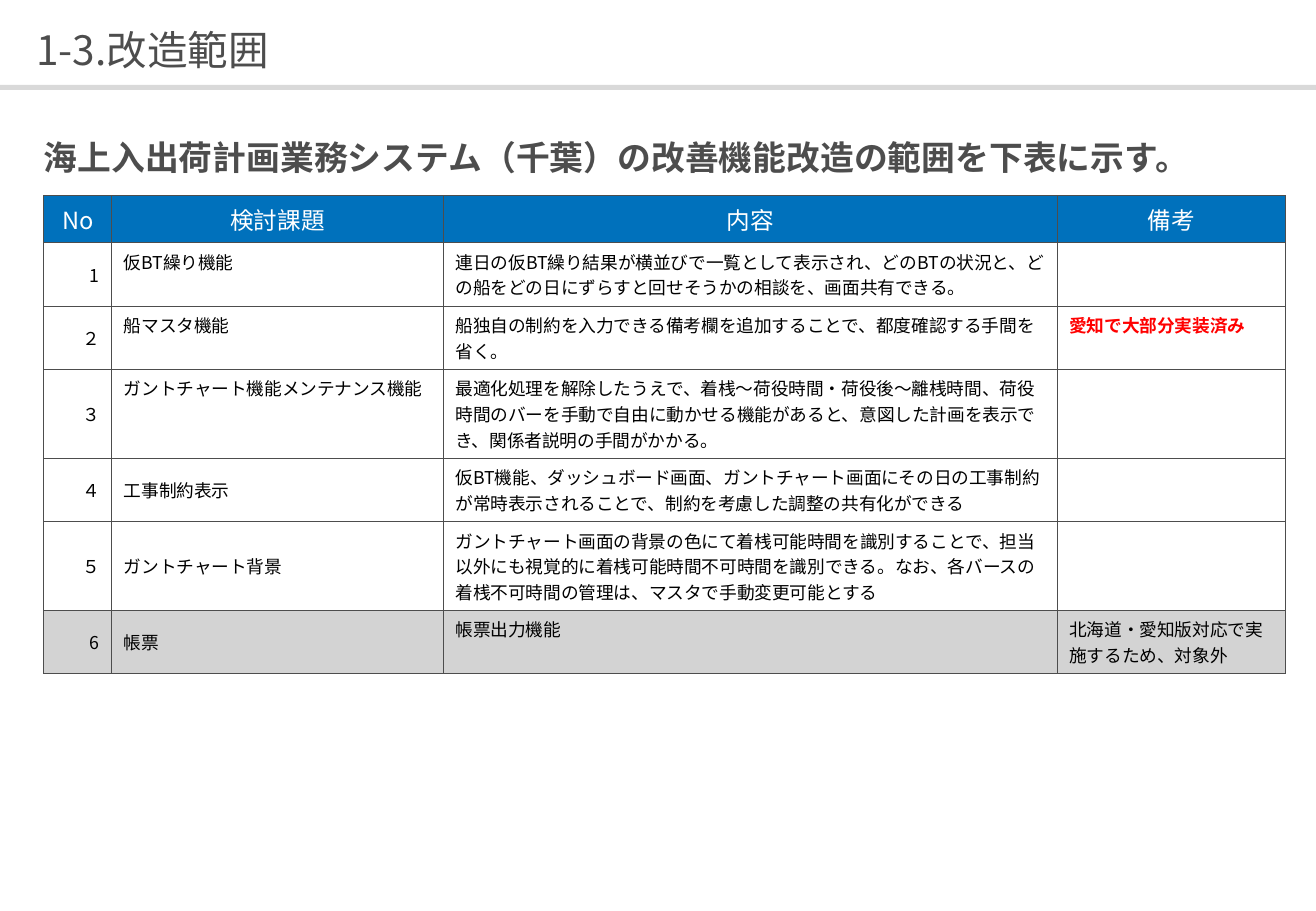
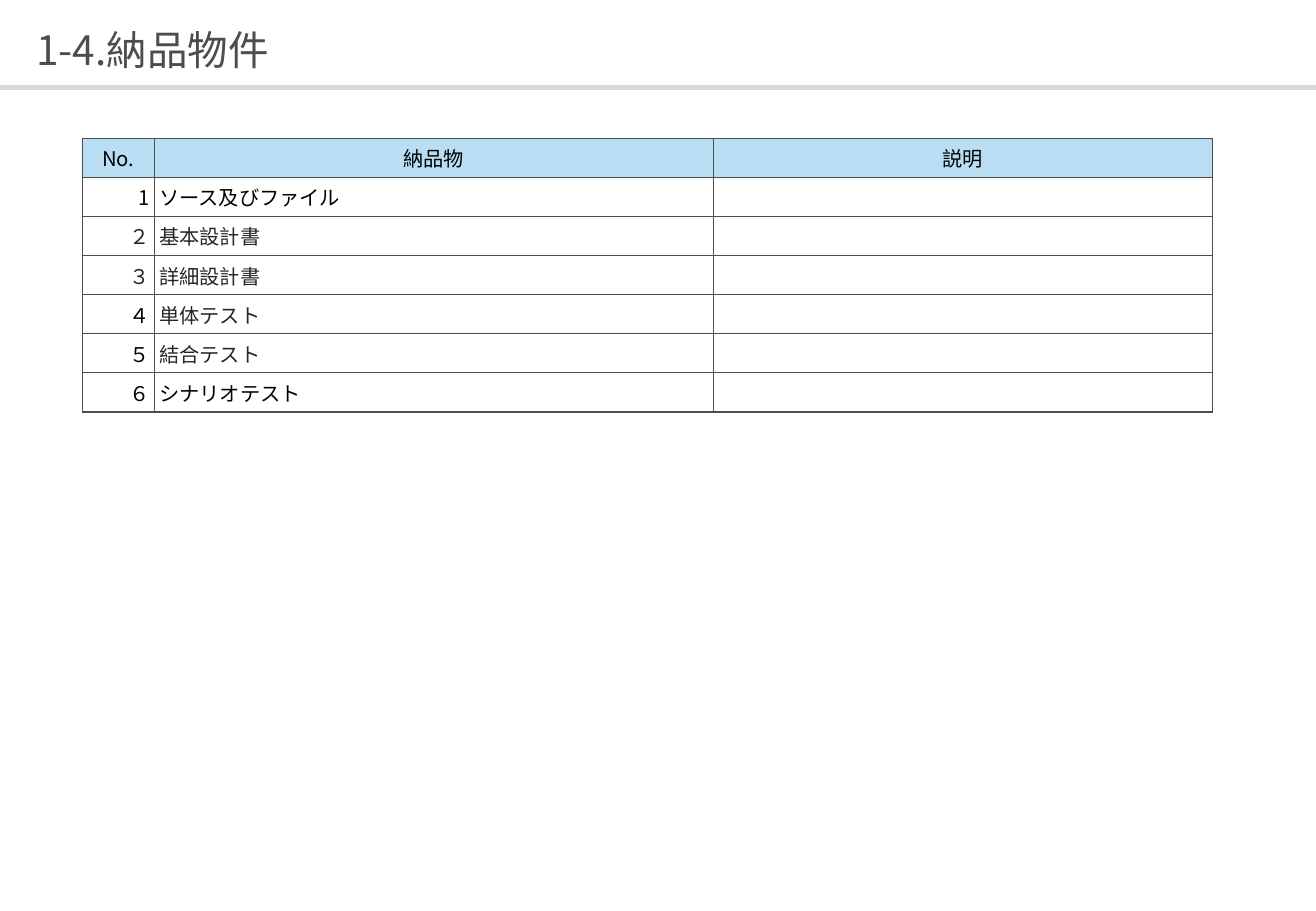
from dataclasses import dataclass

from lxml.etree import SubElement
from pptx import Presentation
from pptx.dml.color import RGBColor
from pptx.enum.shapes import MSO_SHAPE
from pptx.enum.text import MSO_ANCHOR, MSO_AUTO_SIZE, PP_ALIGN
from pptx.oxml.ns import qn
from pptx.util import Emu, Pt

PX = 9144  # EMU per px, 100 px to the inch


@dataclass(frozen=True)
class Theme:
    font: str = "Noto Sans CJK JP"
    text: str = "4D4D4D"
    body: str = "000000"
    soft: str = "262626"
    white: str = "FFFFFF"
    band: str = "D9D9D9"
    border: str = "4D4D4D"
    blue: str = "0071BC"
    pale_blue: str = "B9DDF3"
    grey: str = "D3D3D3"
    red: str = "FF0000"
    title_size: float = 24
    lead_size: float = 20
    header_size: float = 14
    list_size: float = 12
    cell_size: float = 10.5
    border_width: float = 0.75


def px(*lengths):
    return [Emu(n * PX) for n in lengths]


class Deck:
    def __init__(self, theme):
        self.t = theme
        self.prs = Presentation()
        self.prs.slide_width, self.prs.slide_height = px(1083, 750)
        self.s = None

    # Text styling
    def style(self, p, size, color, bold=False, align=PP_ALIGN.LEFT):
        p.alignment = align
        for r in p.runs:
            r.font.name = self.t.font
            r.font.size = Pt(size)
            r.font.bold = bold
            r.font.color.rgb = RGBColor.from_string(color)
            SubElement(r.font._element, qn("a:ea"), typeface=self.t.font)
        if not p.runs:  # an empty cell still takes its height from the text size
            p._p.get_or_add_endParaRPr().set("sz", str(int(size * 100)))

    def plain_frame(self, tf, anchor):
        tf.margin_left = tf.margin_right = tf.margin_top = tf.margin_bottom = 0
        tf.word_wrap = True
        tf.auto_size = MSO_AUTO_SIZE.NONE
        tf.vertical_anchor = anchor

    # Slide with the shared band and title
    def slide(self, title):
        self.s = self.prs.slides.add_slide(self.prs.slide_layouts[5])
        band = self.s.shapes.add_shape(MSO_SHAPE.RECTANGLE, *px(0, 70, 1083, 4))
        band.shadow.inherit = False
        band.fill.solid()
        band.fill.fore_color.rgb = RGBColor.from_string(self.t.band)
        band.line.fill.background()

        sp = self.s.shapes.title
        sp.left, sp.top, sp.width, sp.height = px(30, 17, 1024, 43)
        tf = sp.text_frame
        tf.text = title
        self.plain_frame(tf, MSO_ANCHOR.MIDDLE)
        p = tf.paragraphs[0]
        p.line_spacing = 1.1
        self.style(p, self.t.title_size, self.t.text)

    def lead(self, text, x, y, w, h):
        tf = self.s.shapes.add_textbox(*px(x, y, w, h)).text_frame
        tf.text = text
        self.plain_frame(tf, MSO_ANCHOR.TOP)
        p = tf.paragraphs[0]
        p.line_spacing = Pt(30)
        p.space_after = Pt(12)
        self.style(p, self.t.lead_size, self.t.text, True, PP_ALIGN.JUSTIFY)

    # Tables
    def borders(self, cell):
        tc_pr = cell._tc.get_or_add_tcPr()
        for side in ("lnL", "lnR", "lnT", "lnB"):
            ln = SubElement(tc_pr, qn(f"a:{side}"), w=str(Pt(self.t.border_width)))
            fill = SubElement(ln, qn("a:solidFill"))
            SubElement(fill, qn("a:srgbClr"), val=self.t.border)

    def table(self, x, y, cols, heights, rows, header, size, margins=(10, 5), special=None):
        """header: fill, text colour, size. special: (row, column) to changed settings."""
        frame = self.s.shapes.add_table(
            len(rows), len(cols), *px(x, y, sum(cols), sum(heights)))
        tbl = frame.table
        tbl.horz_banding = False
        for col, w in zip(tbl.columns, px(*cols)):
            col.width = w
        for row, h in zip(tbl.rows, px(*heights)):
            row.height = h
        head_fill, head_color, head_size = header
        for i, values in enumerate(rows):
            for j, value in enumerate(values):
                look = dict(fill=self.t.white, color=self.t.body, size=size, bold=False,
                            anchor=MSO_ANCHOR.MIDDLE,
                            align=PP_ALIGN.LEFT if j else PP_ALIGN.RIGHT)
                if i == 0:
                    look.update(fill=head_fill, color=head_color, size=head_size,
                                align=PP_ALIGN.CENTER)
                look.update((special or {}).get((i, j), {}))
                self.cell(tbl.cell(i, j), value, margins, **look)

    def cell(self, cell, value, margins, fill, anchor, **text_look):
        cell.text = value
        cell.margin_left, cell.margin_top = px(*margins)
        cell.margin_right, cell.margin_bottom = px(*margins)
        cell.vertical_anchor = anchor
        self.borders(cell)
        cell.fill.solid()
        cell.fill.fore_color.rgb = RGBColor.from_string(fill)
        self.style(cell.text_frame.paragraphs[0], **text_look)


SCOPE = [
    ("No", "検討課題", "内容", "備考"),
    ("1", "仮BT繰り機能",
     "連日の仮BT繰り結果が横並びで一覧として表示され、どのBTの状況と、"
     "どの船をどの日にずらすと回せそうかの相談を、画面共有できる。", ""),
    ("２", "船マスタ機能",
     "船独自の制約を入力できる備考欄を追加することで、都度確認する手間を省く。",
     "愛知で大部分実装済み"),
    ("３", "ガントチャート機能メンテナンス機能",
     "最適化処理を解除したうえで、着桟～荷役時間・荷役後～離桟時間、"
     "荷役時間のバーを手動で自由に動かせる機能があると、"
     "意図した計画を表示でき、関係者説明の手間がかかる。", ""),
    ("４", "工事制約表示",
     "仮BT機能、ダッシュボード画面、ガントチャート画面にその日の工事制約が"
     "常時表示されることで、制約を考慮した調整の共有化ができる", ""),
    ("５", "ガントチャート背景",
     "ガントチャート画面の背景の色にて着桟可能時間を識別することで、"
     "担当以外にも視覚的に着桟可能時間不可時間を識別できる。"
     "なお、各バースの着桟不可時間の管理は、マスタで手動変更可能とする", ""),
    ("6", "帳票", "帳票出力機能", "北海道・愛知版対応で実施するため、対象外"),
]

DELIVERABLES = [
    ("No.", "納品物", "説明"),
    ("1", "ソース及びファイル", ""),
    ("２", "基本設計書", ""),
    ("３", "詳細設計書", ""),
    ("４", "単体テスト", ""),
    ("５", "結合テスト", ""),
    ("６", "シナリオテスト", ""),
]


def main():
    t = Theme()
    deck = Deck(t)

    # Scope of the changes
    deck.slide("1-3.改造範囲")
    top = [(i, j) for i in range(1, 7) for j in (1, 2, 3) if j > 1 or i < 4]
    special = {at: {"anchor": MSO_ANCHOR.TOP} for at in top}
    special[2, 3].update(color=t.red, bold=True)
    for j in range(4):
        special.setdefault((6, j), {})["fill"] = t.grey
    special[6, 3]["anchor"] = MSO_ANCHOR.BOTTOM
    deck.table(36, 161, (56, 273, 505, 188), (39, 52, 52, 73, 52, 73, 52), SCOPE,
               (t.blue, t.white, t.header_size), t.cell_size, special=special)
    deck.lead("海上入出荷計画業務システム（千葉）の改善機能改造の範囲を下表に示す。",
              36, 104, 961, 40)

    # Deliverables
    deck.slide("1-4.納品物件")
    soft = [(2, 0), (3, 0)] + [(i, 1) for i in range(2, 6)]
    deck.table(68, 114, (59, 460, 411), (32,) * 7, DELIVERABLES,
               (t.pale_blue, t.body, t.list_size), t.list_size, margins=(4, 4),
               special={at: {"color": t.soft} for at in soft})

    deck.prs.save("out.pptx")


if __name__ == "__main__":
    main()
